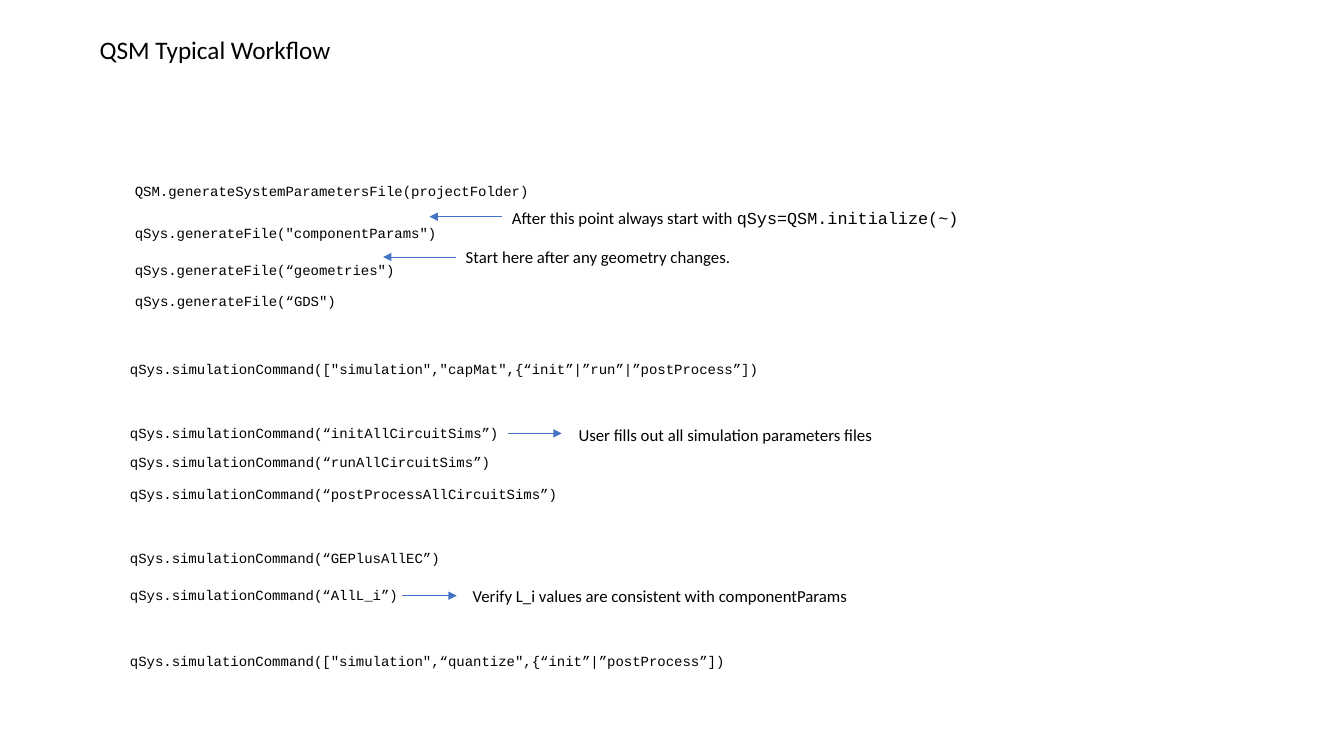
from lxml import etree
from pptx import Presentation
from pptx.dml.color import RGBColor
from pptx.enum.shapes import MSO_CONNECTOR
from pptx.oxml.ns import qn
from pptx.util import Inches, Pt

LINE = MSO_CONNECTOR.STRAIGHT
SANS, MONO = "Calibri", "Courier New"
BLACK, BLUE = "000000", "4472C4"

deck = Presentation()
deck.slide_width, deck.slide_height = Inches(13.33), Inches(7.5)
COL, ROW = deck.slide_width / 100, deck.slide_height / 100
slide = deck.slides.add_slide(deck.slide_layouts[6])


def paint(color):
    return RGBColor.from_string(color)


def write(x, y, wide, high, size, runs):
    box = slide.shapes.add_textbox(int(x * COL), int(y * ROW), int(wide * COL), int(high * ROW))
    box.text_frame.word_wrap = False
    para = box.text_frame.paragraphs[0]
    for text, face in runs:
        run = para.add_run()
        run.text = text
        run.font.name = face
        run.font.size = Pt(size)
        run.font.color.rgb = paint(BLACK)


write(6.68, 3.87, 41.79, 5.33, 18, [("QSM Typical Workflow", SANS)])

FILES, SIMS = 9.3, 8.93
CHAR, PAD = 0.625, 1.5
steps = [
    (FILES, 23.47, 'QSM.generateSystemParametersFile(projectFolder)'),
    (FILES, 29.07, 'qSys.generateFile("componentParams")'),
    (FILES, 34, 'qSys.generateFile(“geometries")'),
    (FILES, 38, 'qSys.generateFile(“GDS")'),
    (SIMS, 47.07, 'qSys.simulationCommand(["simulation","capMat",{“init”|”run”|”postProcess”])'),
    (SIMS, 55.47, 'qSys.simulationCommand(“initAllCircuitSims”)'),
    (SIMS, 59.33, 'qSys.simulationCommand(“runAllCircuitSims”)'),
    (SIMS, 63.6, 'qSys.simulationCommand(“postProcessAllCircuitSims”)'),
    (SIMS, 72, 'qSys.simulationCommand(“GEPlusAllEC”)'),
    (SIMS, 76.93, 'qSys.simulationCommand(“AllL_i”)'),
    (SIMS, 85.6, 'qSys.simulationCommand(["simulation",“quantize",{“init”|”postProcess”])'),
]
for x, y, code in steps:
    write(x, y, len(code) * CHAR + PAD, 3.6, 10, [(code, MONO)])

notes = [
    (37.36, 26.8, 35.26, [("After this point always start with ", SANS),
                          ("qSys=QSM.initialize(~)", MONO)]),
    (33.91, 32, 21.46, [("Start here after any geometry changes.", SANS)]),
    (42.31, 55.47, 23.93, [("User fills out all simulation parameters files", SANS)]),
    (34.43, 76.8, 29.71, [("Verify L_i values are consistent with componentParams", SANS)]),
]
for x, y, wide, runs in notes:
    write(x, y, wide, 4, 12, runs)

arrows = [
    (37.36, 31.96, 28.67),
    (33.91, 28.51, 34),
    (37.81, 41.79, 57.33),
    (29.93, 33.98, 78.8),
]
for start, end, y in arrows:
    level = int(y * ROW)
    arrow = slide.shapes.add_connector(LINE, int(start * COL), level, int(end * COL), level)
    arrow.line.color.rgb = paint(BLUE)
    arrow.line.width = Pt(0.5)
    etree.SubElement(arrow.line._get_or_add_ln(), qn("a:tailEnd"), type="triangle")
    etree.SubElement(arrow._element.spPr, qn("a:effectLst"))

deck.save("out.pptx")
